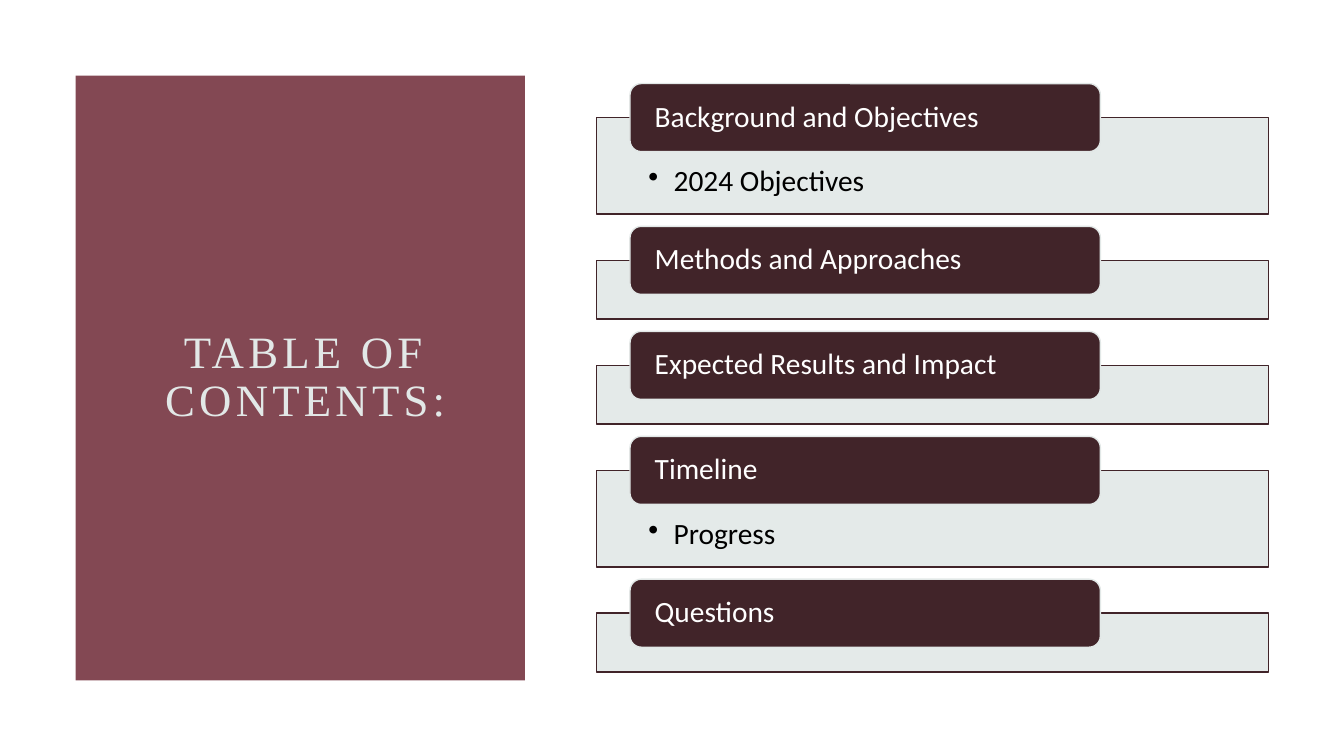
from dataclasses import dataclass

from lxml.etree import SubElement
from pptx import Presentation
from pptx.dml.color import RGBColor as Color
from pptx.enum.shapes import MSO_SHAPE as Shape
from pptx.enum.text import MSO_ANCHOR as Anchor, MSO_AUTO_SIZE as AutoSize, PP_ALIGN as Align
from pptx.oxml.ns import qn
from pptx.util import Inches, Pt


@dataclass(frozen=True)
class Theme:
    wine: Color = Color.from_string("834853")
    dark: Color = Color.from_string("412429")
    mist: Color = Color.from_string("E2E8E7")
    white: Color = Color.from_string("FFFFFF")
    black: Color = Color.from_string("000000")
    title_font: str = "Times New Roman"
    body_font: str = "Calibri"
    title_size: int = 32
    body_size: int = 21


THEME = Theme()

# Grid of 160 columns by 90 rows, twelve cells to the inch
COLUMNS, ROWS = 160, 90
CELL = Inches(1) // 12

PANEL = (9, 9, 53.5, 72)
TITLE = (18, 18, 36.7, 54)
FRAME_LEFT, FRAME_WIDTH, FIRST_TOP = 71, 80, 14
PLAIN_HEIGHT, DETAIL_HEIGHT, GAP = 7, 11.5, 5.5
TAB_LEFT, TAB_WIDTH, TAB_HEIGHT = 75, 56, 8.1
TAB_INSETS = (2.55, 0, 2.55, 0)
FRAME_INSETS = (6.2, 5.8, 6.2, 1.9)

SECTIONS = [
    ("Background and Objectives", "2024 Objectives"),
    ("Methods and Approaches", None),
    ("Expected Results and Impact", None),
    ("Timeline", "Progress"),
    ("Questions", None),
]


def cells(*counts):
    return [round(count * CELL) for count in counts]


def apply_format(target, values):
    for name, value in values.items():
        setattr(target, name, value)


def add_box(page, kind, place, fill, line=None):
    box = page.shapes.add_shape(kind, *cells(*place))
    box.shadow.inherit = False
    box.fill.solid()
    box.fill.fore_color.rgb = fill
    if line is None:
        box.line.fill.background()
    else:
        box.line.color.rgb = line
        box.line.width = Pt(1)
    return box


def write_text(box, text, color, insets, anchor,
               font=THEME.body_font, size=THEME.body_size, align=Align.LEFT):
    frame = box.text_frame
    left, top, right, bottom = cells(*insets)
    apply_format(frame, {
        "word_wrap": True, "auto_size": AutoSize.NONE, "vertical_anchor": anchor,
        "margin_left": left, "margin_top": top,
        "margin_right": right, "margin_bottom": bottom,
    })
    para = frame.paragraphs[0]
    apply_format(para, {"alignment": align, "line_spacing": 0.9})
    span = para.add_run()
    span.text = text
    apply_format(span.font, {"name": font, "size": Pt(size), "bold": False})
    span.font.color.rgb = color
    return para, span


def add_bullet(para):
    properties = para._p.get_or_add_pPr()
    indent = CELL * 3
    properties.set("marL", str(indent))
    properties.set("indent", str(-indent))
    SubElement(properties, qn("a:buChar"), char="•")


def add_title(page):
    title = page.shapes.title
    left, top, width, height = cells(*TITLE)
    apply_format(title, {"left": left, "top": top, "width": width, "height": height})
    para, span = write_text(title, "TABLE OF CONTENTS:", THEME.mist, (1.2, 0.6, 1.2, 0.6),
                            Anchor.MIDDLE, THEME.title_font, THEME.title_size, Align.CENTER)
    span.font._element.set("spc", "300")
    # The panel lies behind the title
    panel = add_box(page, Shape.RECTANGLE, PANEL, THEME.wine)
    title.element.addprevious(panel.element)


def add_section(page, top, height, heading, detail):
    # Pale frame with an optional bullet
    frame = add_box(page, Shape.RECTANGLE, (FRAME_LEFT, top, FRAME_WIDTH, height),
                    THEME.mist, THEME.dark)
    tint = frame.element.spPr.find(qn("a:solidFill"))[0]
    SubElement(tint, qn("a:alpha"), val="90000")
    if detail:
        para, span = write_text(frame, detail, THEME.black, FRAME_INSETS, Anchor.TOP)
        add_bullet(para)

    # Heading tab centred on the frame's top edge
    tab = add_box(page, Shape.ROUNDED_RECTANGLE,
                  (TAB_LEFT, top - TAB_HEIGHT / 2, TAB_WIDTH, TAB_HEIGHT),
                  THEME.dark, THEME.mist)
    write_text(tab, heading, THEME.white, TAB_INSETS, Anchor.MIDDLE)


def main():
    deck = Presentation()
    deck.slide_width, deck.slide_height = cells(COLUMNS, ROWS)
    page = deck.slides.add_slide(deck.slide_layouts[5])
    add_title(page)

    # Sections stack downwards with equal gaps
    top = FIRST_TOP
    for heading, detail in SECTIONS:
        height = DETAIL_HEIGHT if detail else PLAIN_HEIGHT
        add_section(page, top, height, heading, detail)
        top += height + GAP

    deck.save("out.pptx")


if __name__ == "__main__":
    main()
